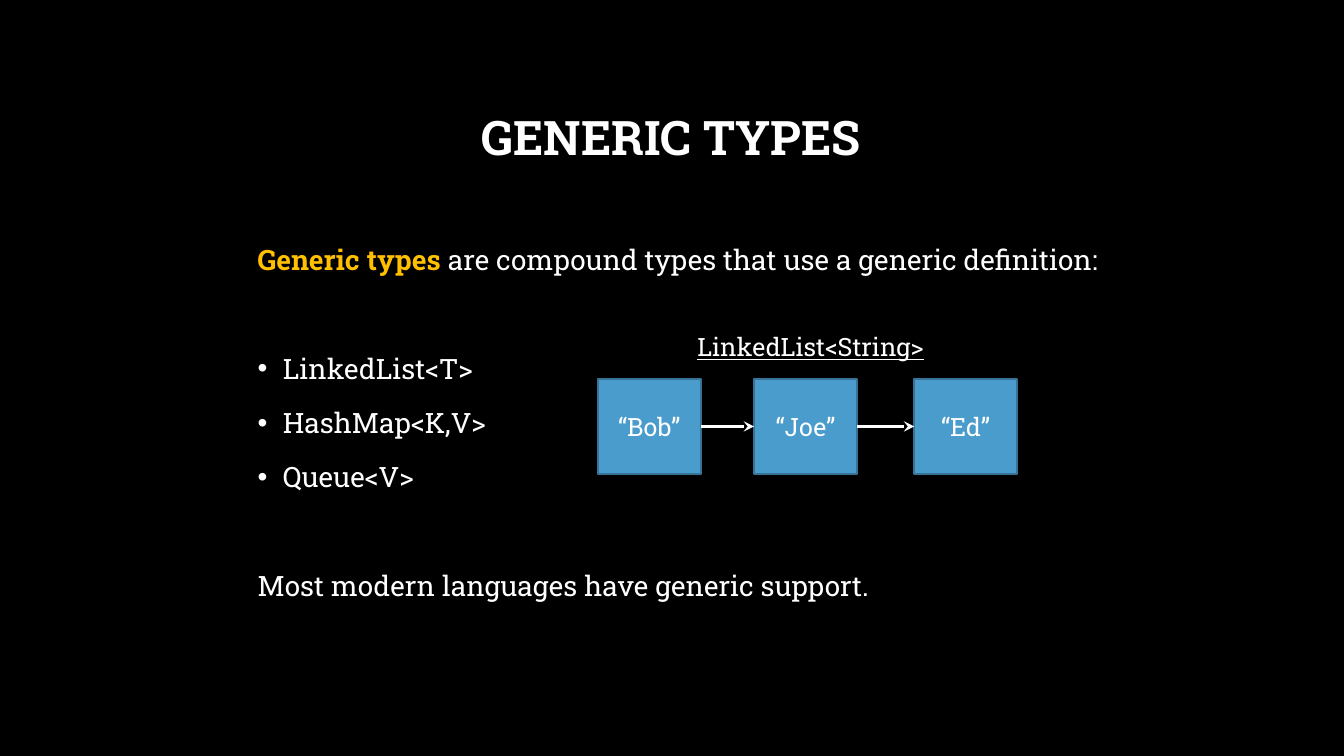
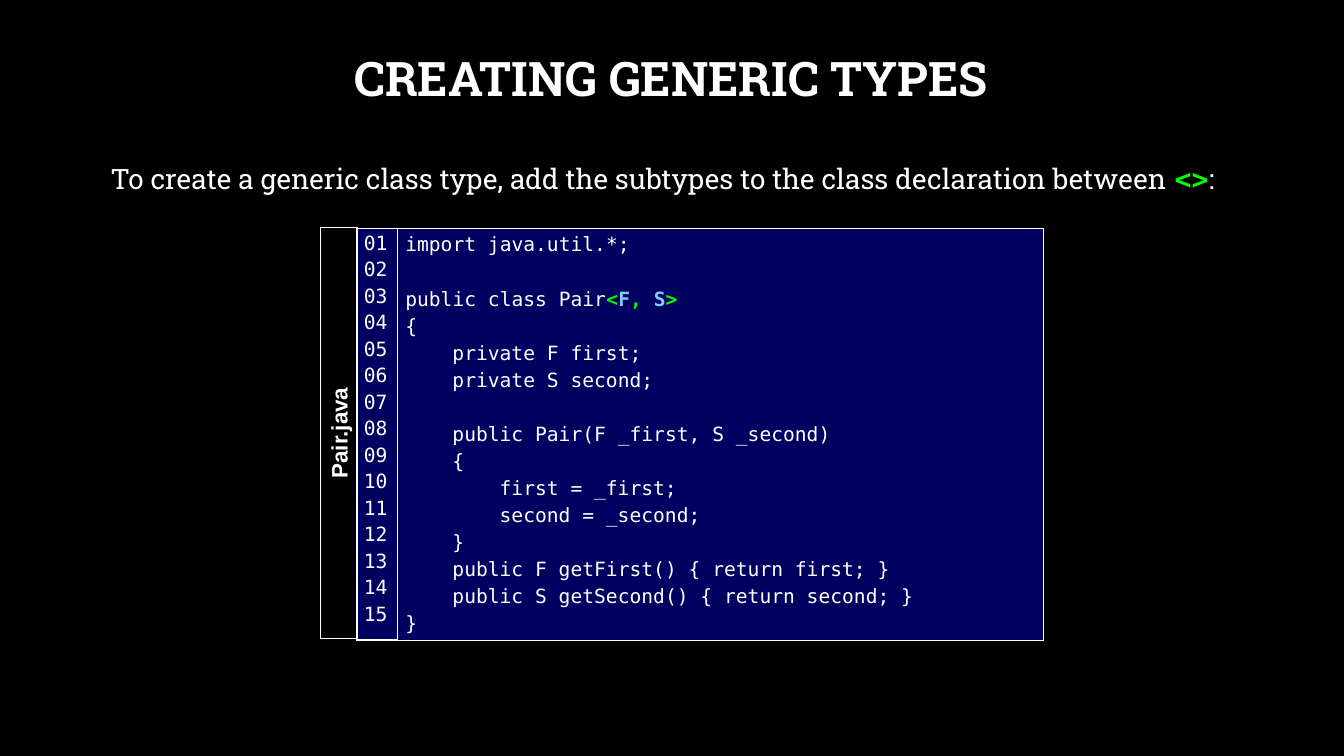
from dataclasses import dataclass
from typing import Any, Optional, Sequence

import lxml.etree
import pptx
import pptx.dml.color
import pptx.enum.shapes
import pptx.enum.text
import pptx.oxml.ns
import pptx.util

Pt = pptx.util.Pt
Align = pptx.enum.text.PP_ALIGN
Anchor = pptx.enum.text.MSO_ANCHOR
qn = pptx.oxml.ns.qn

BLACK, WHITE = "000000", "FFFFFF"
AMBER, GREEN, SKY = "FFC000", "00FF00", "82C8FB"
NODE_FILL, NODE_LINE, CODE_FILL = "4A9CCC", "377397", "000060"
SLAB, MONO, SANS = "Roboto Slab", "DejaVu Sans Mono", "Arial"

BODY_GAP = 10
BODY_PITCH = 38.9   # one body line with its gap
CODE_PITCH = 19.4   # one code line
CODE_INDENT = 33.7  # four code characters
CODE_TOP, CODE_HEIGHT = 163.4, 293.8


@dataclass(frozen=True)
class Box:
    left: float
    top: float
    width: float
    height: float

    def lengths(self) -> tuple[Any, ...]:
        return Pt(self.left), Pt(self.top), Pt(self.width), Pt(self.height)


@dataclass(frozen=True)
class Span:
    text: str
    color: Optional[str] = None
    bold: Optional[bool] = None
    font: Optional[str] = None


@dataclass(frozen=True)
class Line:
    spans: tuple[Span, ...]
    before: float = 0
    indent: float = 0
    bullet: bool = False


def line(*parts: str | Span, **layout: Any) -> Line:
    return Line(tuple(Span(p) if isinstance(p, str) else p for p in parts), **layout)


def code(depth: int, *parts: str | Span, blank_above: bool = False) -> Line:
    return line(*parts, indent=depth * CODE_INDENT,
                before=CODE_PITCH if blank_above else 0)


TITLE_WIDTH = 815
CODE_LINES = (
    code(0, "import java.util.*;"),
    code(0, "public class Pair", Span("<", GREEN, True), Span("F", SKY, True),
         Span(", ", GREEN, True), Span("S", SKY, True), Span(">", GREEN, True),
         blank_above=True),
    code(0, "{"),
    code(1, "private F first;"),
    code(1, "private S second;"),
    code(1, "public Pair(F _first, S _second)", blank_above=True),
    code(1, "{"),
    code(2, "first = _first;"),
    code(2, "second = _second;"),
    code(1, "}"),
    code(1, "public F getFirst() { return first; }"),
    code(1, "public S getSecond() { return second; }"),
    code(0, "}"),
)
LINE_COUNT = len(CODE_LINES) + sum(entry.before > 0 for entry in CODE_LINES)


def rgb(hex_color: str) -> pptx.dml.color.RGBColor:
    return pptx.dml.color.RGBColor.from_string(hex_color)


def write(frame: Any, lines: Sequence[Line], *, size: float, font: str = SLAB,
          color: str = WHITE, bold: bool = False, underline: bool = False,
          align: Any = Align.LEFT, spacing: float = 1.0) -> None:
    for number, entry in enumerate(lines):
        paragraph = frame.paragraphs[0] if number == 0 else frame.add_paragraph()
        paragraph.alignment = align
        paragraph.line_spacing = spacing
        paragraph.space_before = Pt(entry.before)
        properties = paragraph._p.get_or_add_pPr()
        if entry.indent:
            properties.set("marL", str(Pt(entry.indent)))
        if entry.bullet:
            properties.set("indent", str(-Pt(entry.indent)))
            lxml.etree.SubElement(properties, qn("a:buFont"), typeface=SANS)
            lxml.etree.SubElement(properties, qn("a:buChar"), char="•")
        for span in entry.spans:
            run = paragraph.add_run()
            run.text = span.text
            run.font.name = span.font or font
            run.font.size = Pt(size)
            run.font.bold = bold if span.bold is None else span.bold
            run.font.underline = underline
            run.font.color.rgb = rgb(span.color or color)


def set_margins(holder: Any, side: float) -> None:
    holder.margin_left = holder.margin_right = Pt(side)
    holder.margin_top = holder.margin_bottom = 0


def add_slide(deck: Any, title: str, top: float) -> Any:
    slide = deck.slides.add_slide(deck.slide_layouts[5])
    heading = slide.shapes.title
    heading.left, heading.top, heading.width, heading.height = Box(
        72, top, TITLE_WIDTH, 104.4).lengths()
    frame = heading.text_frame
    frame.auto_size = pptx.enum.text.MSO_AUTO_SIZE.NONE
    frame.vertical_anchor = Anchor.MIDDLE
    write(frame, [line(title)], size=34, bold=True, align=Align.CENTER, spacing=0.9)
    return slide


def add_text(slide: Any, box: Box, lines: Sequence[Line], **text_format: Any) -> None:
    frame = slide.shapes.add_textbox(*box.lengths()).text_frame
    frame.word_wrap = True
    write(frame, lines, **text_format)


def add_rectangle(slide: Any, box: Box, *, fill: Optional[str], outline: str,
                  weight: float, anchor: Any = Anchor.MIDDLE) -> Any:
    rectangle = slide.shapes.add_shape(
        pptx.enum.shapes.MSO_SHAPE.RECTANGLE, *box.lengths())
    rectangle.shadow.inherit = False
    if fill:
        rectangle.fill.solid()
        rectangle.fill.fore_color.rgb = rgb(fill)
    else:
        rectangle.fill.background()
    rectangle.line.color.rgb = rgb(outline)
    rectangle.line.width = Pt(weight)
    rectangle.text_frame.vertical_anchor = anchor
    return rectangle


def add_arrow(slide: Any, source: Any, target: Any) -> None:
    """Join the right side of source to the left side of target."""
    arrow = slide.shapes.add_connector(
        pptx.enum.shapes.MSO_CONNECTOR.STRAIGHT, 0, 0, 0, 0)
    arrow.begin_connect(source, 3)
    arrow.end_connect(target, 1)
    arrow.line.color.rgb = rgb(WHITE)
    arrow.line.width = Pt(2.5)
    lxml.etree.SubElement(arrow.line._get_or_add_ln(), qn("a:tailEnd"), type="stealth")
    lxml.etree.SubElement(arrow._element.spPr, qn("a:effectLst"))


def add_line_numbers(slide: Any, box: Box) -> None:
    table = slide.shapes.add_table(1, 1, *box.lengths()).table
    table.first_row = table.horz_banding = False
    cell = table.cell(0, 0)
    set_margins(cell, 5)
    properties = cell._tc.get_or_add_tcPr()
    for side in ("lnL", "lnR", "lnT", "lnB"):
        border = lxml.etree.SubElement(properties, qn(f"a:{side}"), w=str(Pt(1)))
        solid = lxml.etree.SubElement(border, qn("a:solidFill"))
        lxml.etree.SubElement(solid, qn("a:srgbClr"), val=WHITE)
    cell.fill.solid()
    cell.fill.fore_color.rgb = rgb(CODE_FILL)
    write(cell.text_frame, [line(f"{n:02}") for n in range(1, LINE_COUNT + 1)],
          size=14, font=MONO, spacing=1.15)


def build_generic_types(deck: Any) -> None:
    slide = add_slide(deck, "GENERIC TYPES", 48.2)
    wide_gap = BODY_GAP + BODY_PITCH
    examples = ("LinkedList<T>", "HashMap<K,V>", "Queue<V>")
    add_text(slide, Box(177, 164.9, 616.3, 290.9), [
        line(Span("Generic types", AMBER, True),
             " are compound types that use a generic definition:", before=BODY_GAP),
        *(line(example, before=BODY_GAP if number else wide_gap, indent=18, bullet=True)
          for number, example in enumerate(examples)),
        line("Most modern languages have generic support.", before=wide_gap),
    ], size=20, spacing=1.2)

    nodes = []
    for name, left in (("“Bob”", 427), ("“Joe”", 538.6), ("“Ed”", 653)):
        node = add_rectangle(slide, Box(left, 270.7, 73.6, 67.8), fill=NODE_FILL,
                             outline=NODE_LINE, weight=1.5)
        write(node.text_frame, [line(name)], size=18, align=Align.CENTER)
        nodes.append(node)
    for source, target in zip(nodes, nodes[1:]):
        add_arrow(slide, source, target)
    add_text(slide, Box(491, 233.3, 216, 29), [line("LinkedList<String>")],
             size=18, underline=True)


def build_creating_generic_types(deck: Any) -> None:
    slide = add_slide(deck, "CREATING GENERIC TYPES", 5.8)
    add_text(slide, Box(72, 107.3, TITLE_WIDTH, 41), [
        line("To create a generic class type, add the subtypes to the class "
             "declaration between ", Span("<>", GREEN, True, MONO), ":",
             before=BODY_GAP),
    ], size=20, spacing=1.2)

    listing = add_rectangle(slide, Box(283.7, CODE_TOP, 461.5, CODE_HEIGHT),
                            fill=CODE_FILL, outline=WHITE, weight=0.75,
                            anchor=Anchor.TOP)
    set_margins(listing.text_frame, 5.8)
    write(listing.text_frame, CODE_LINES, size=14, font=MONO, spacing=1.15)
    add_line_numbers(slide, Box(254.9, CODE_TOP, 28.8, CODE_HEIGHT))

    file_tab = add_rectangle(slide, Box(95, 296, CODE_HEIGHT, 26.6), fill=None,
                             outline=WHITE, weight=0.75)
    file_tab.rotation = 270
    write(file_tab.text_frame, [line("Pair.java")], size=16, font=SANS, bold=True,
          align=Align.CENTER)


def main() -> None:
    deck = pptx.Presentation()
    deck.slide_width, deck.slide_height = Pt(960), Pt(540)
    backdrop = deck.slide_master.background.fill
    backdrop.solid()
    backdrop.fore_color.rgb = rgb(BLACK)
    build_generic_types(deck)
    build_creating_generic_types(deck)
    deck.save("out.pptx")


if __name__ == "__main__":
    main()
